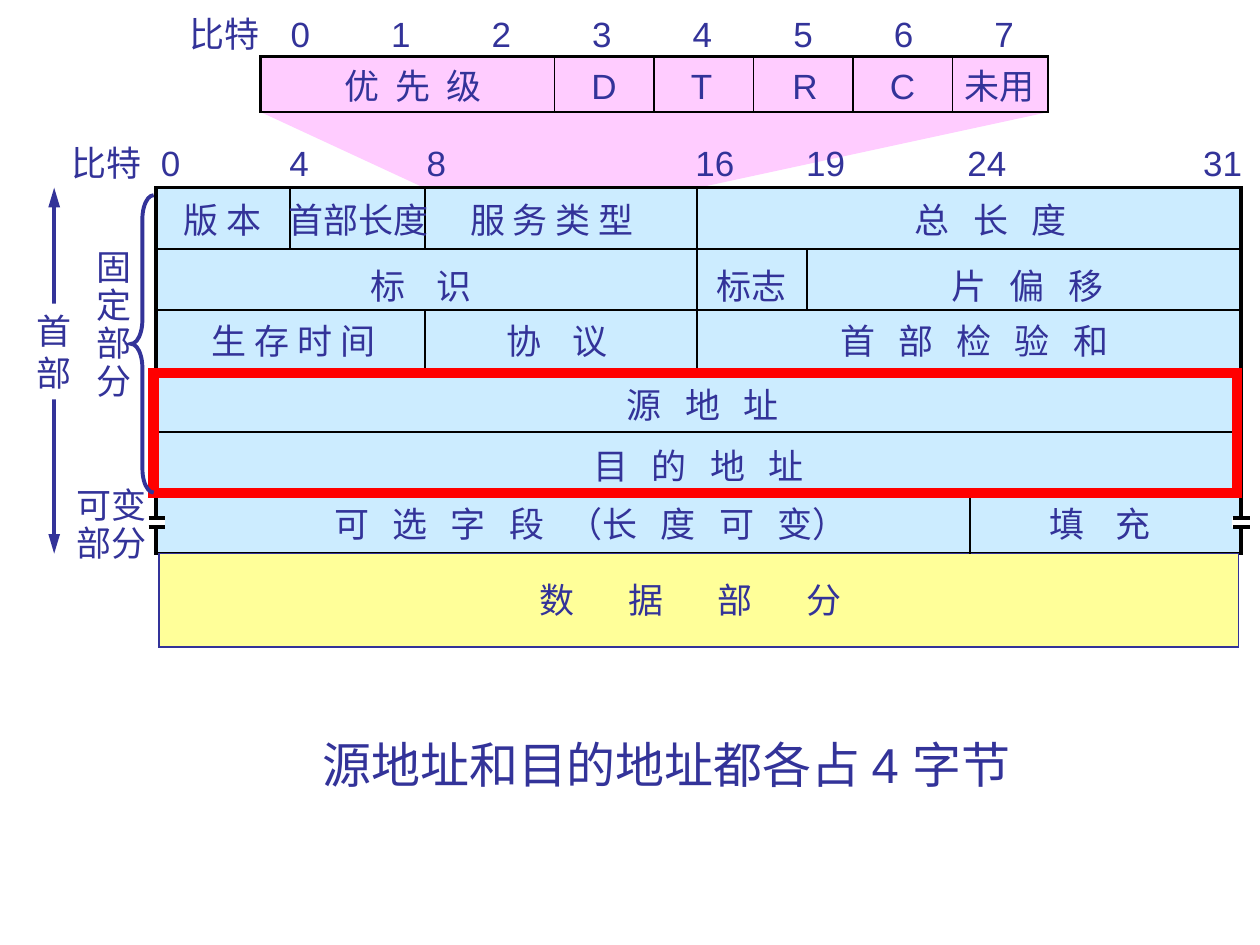
from dataclasses import dataclass
from itertools import groupby

from lxml.etree import SubElement
from pptx import Presentation
from pptx.dml.color import RGBColor
from pptx.enum.shapes import MSO_CONNECTOR, MSO_SHAPE
from pptx.enum.text import MSO_AUTO_SIZE
from pptx.oxml.ns import qn
from pptx.util import Inches, Pt


@dataclass(frozen=True)
class Theme:
    ink: str = "333399"
    rule: str = "000000"
    paper: str = "FFFFFF"
    service: str = "FFCCFF"
    header: str = "CCECFF"
    data: str = "FFFF99"
    highlight: str = "FF0000"
    font: str = "Arial"
    label: int = 20
    conclusion: int = 28


@dataclass(frozen=True)
class Grid:
    """Columns are bits and rows are words of the packet layout."""
    left: float
    top: float
    column: float
    row: float

    def x(self, column):
        return self.left + column * self.column

    def y(self, row):
        return self.top + row * self.row


THEME = Theme()
SERVICE = Grid(2.03, 0.45, 0.79, 0.44)
HEADER = Grid(1.24, 1.49, 0.269, 0.484)
SERVICE_EDGES = (0.05, 7.96)
LABEL_HEIGHT = 0.43
SPACE_EMS = 0.22
SLACK = 0.04

SERVICE_BITS = {bit: 0.45 + 1.01 * bit for bit in range(8)}
HEADER_BITS = {0: 0.43, 4: 4.22, 8: 8.27, 16: 16.49, 19: 19.76, 24: 24.52, 31: 31.47}
SERVICE_FIELDS = [("优 先 级", 1.58, 2), ("D", 3.5, 1), ("T", 4.5, 1),
                  ("R", 5.52, 1), ("C", 6.5, 1), ("未用", 7.47, 1)]
# Each row: text offset from the row top, then (text, centre column, gap in spaces)
HEADER_ROWS = [
    (0.04, [("版 本", 1.95, 1), ("首部长度", 5.97, 1),
            ("服 务 类 型", 11.67, 1), ("总 长 度", 24.62, 3)]),
    (0.08, [("标 识", 7.81, 4), ("标志", 17.58, 1), ("片 偏 移", 25.7, 3)]),
    (0.03, [("生 存 时 间", 4.05, 1), ("协 议", 11.82, 4),
            ("首 部 检 验 和", 24.13, 3)]),
    (0.05, [("源 地 址", 16.12, 3)]),
    (0.05, [("目 的 地 址", 16, 3)]),
    (0.03, [("可 选 字 段 （长 度 可 变）", 12.81, 3), ("填 充", 27.84, 4)]),
]
# Each divider: column, first row, last row
HEADER_DIVIDERS = [(3.94, 0, 1), (7.92, 0, 1), (7.92, 2, 3), (15.95, 0, 3),
                   (19.2, 1, 2), (24, 5, 6)]


def color(code):
    return RGBColor.from_string(code)


def panel(slide, box, fill=None, line=None, weight=1, kind=MSO_SHAPE.RECTANGLE):
    area = slide.shapes.add_shape(kind, *map(Inches, box))
    paint(area, fill, line, weight)
    return area


def paint(area, fill, line=None, weight=1):
    area.shadow.inherit = False
    if fill:
        area.fill.solid()
        area.fill.fore_color.rgb = color(fill)
    else:
        area.fill.background()
    if line:
        area.line.color.rgb = color(line)
        area.line.width = Pt(weight)
        SubElement(area.line._get_or_add_ln(), qn("a:miter"), lim="800000")
    else:
        area.line.fill.background()


def rule(slide, start, end, weight=1, ink=THEME.rule, arrows=False):
    stroke = slide.shapes.add_connector(
        MSO_CONNECTOR.STRAIGHT, *map(Inches, (*start, *end)))
    stroke.line.color.rgb = color(ink)
    stroke.line.width = Pt(weight)
    if arrows:
        for tip in ("a:headEnd", "a:tailEnd"):
            SubElement(stroke.line._get_or_add_ln(), qn(tip),
                       type="triangle", len="lg")
    SubElement(stroke._element.spPr, qn("a:effectLst"))


def text_width(text, gap, size):
    """Width in inches of a line whose spaces are each worth `gap` spaces."""
    def ems(char):
        if char == " ":
            return SPACE_EMS * gap
        if char.isdigit():
            return 0.56
        return 0.72 if char.isascii() else 1
    return sum(map(ems, text)) * size / 72 + 0.2


def add_spaced_runs(paragraph, line, gap, size):
    """Widen only the spaces, so that letters and brackets stay tight."""
    tracking = round((gap - 1) * SPACE_EMS * size * 100)
    for is_space, chars in groupby(line, str.isspace):
        run = paragraph.add_run()
        run.text = "".join(chars)
        if is_space:
            run._r.get_or_add_rPr().set("spc", str(tracking))


def label(slide, text, center, top, gap=1, width=None, height=LABEL_HEIGHT,
          size=THEME.label, leading=None, fill=None):
    lines = text.split("\n")
    width = width or max(text_width(line, gap, size) for line in lines)
    box = slide.shapes.add_textbox(
        *map(Inches, (center - width / 2, top, width + SLACK, height)))
    if fill:
        paint(box, fill)
    frame = box.text_frame
    frame.word_wrap = False
    frame.auto_size = MSO_AUTO_SIZE.SHAPE_TO_FIT_TEXT
    for index, line in enumerate(lines):
        paragraph = frame.add_paragraph() if index else frame.paragraphs[0]
        if gap > 1:
            add_spaced_runs(paragraph, line, gap, size)
        else:
            paragraph.text = line
        paragraph.font.name = THEME.font
        paragraph.font.size = Pt(size)
        paragraph.font.color.rgb = color(THEME.ink)
        if leading:
            paragraph.line_spacing = leading


def bit_scale(slide, grid, bits, top, caption_center):
    label(slide, "比特", caption_center, top)
    for bit, column in bits.items():
        label(slide, str(bit), grid.x(column), top)


def service_zoom(slide, grid, target):
    """Funnel from the service octet up to its enlarged bits."""
    left, right = map(grid.x, SERVICE_EDGES)
    outline = slide.shapes.build_freeform(Inches(left), Inches(grid.y(1)), scale=1.0)
    corners = [(right, grid.y(1)), (target.x(16), target.top),
               (target.x(7.9), target.top)]
    outline.add_line_segments([(Inches(x), Inches(y)) for x, y in corners])
    paint(outline.convert_to_shape(), THEME.service)


def service_band(slide, grid):
    left, right = map(grid.x, SERVICE_EDGES)
    panel(slide, (left, grid.top, right - left, grid.row),
          THEME.service, THEME.rule, 1.5)
    for column in range(3, 8):
        rule(slide, (grid.x(column), grid.top), (grid.x(column), grid.y(1)))
    for text, column, gap in SERVICE_FIELDS:
        label(slide, text, grid.x(column), grid.top + 0.01, gap)
    bit_scale(slide, grid, SERVICE_BITS, 0.05, 1.78)


def header_table(slide, grid):
    rows = len(HEADER_ROWS)
    panel(slide, (grid.left, grid.top, 32 * grid.column, rows * grid.row),
          THEME.header, THEME.rule, 2)
    panel(slide, (grid.left + 0.02, grid.y(rows), 8.57, 0.74), THEME.data, THEME.ink)
    for row in range(1, rows):
        rule(slide, (grid.left, grid.y(row)), (grid.x(32), grid.y(row)))
    for column, first, last in HEADER_DIVIDERS:
        rule(slide, (grid.x(column), grid.y(first)), (grid.x(column), grid.y(last)))
    for row, (offset, fields) in enumerate(HEADER_ROWS):
        for text, column, gap in fields:
            label(slide, text, grid.x(column), grid.y(row) + offset, gap)
    label(slide, "数 据 部 分", 5.48, grid.y(rows) + 0.15, 7)
    bit_scale(slide, grid, HEADER_BITS, 1.07, 0.85)
    for edge in (grid.left, grid.x(32)):
        break_mark(slide, edge, grid.y(5.49))


def break_mark(slide, x, y):
    panel(slide, (x - 0.07, y - 0.04, 0.14, 0.08), THEME.paper)
    for level in (y - 0.035, y + 0.035):
        rule(slide, (x - 0.06, level), (x + 0.07, level), 2)


def side_notes(slide, grid):
    rule(slide, (0.43, grid.y(0)), (0.43, grid.y(6)), 2.25, THEME.ink, arrows=True)
    label(slide, "首\n部", 0.43, 2.41, height=0.76, fill=THEME.paper)
    label(slide, "固\n定\n部\n分", 0.91, 1.94, height=1.3, leading=0.9)
    label(slide, "可变\n部分", 0.89, 3.83, height=0.7, leading=0.9)


def address_highlight(slide, grid):
    label(slide, "源地址和目的地址都各占 4 字节", 5.38, 5.78,
          width=5.84, height=0.57, size=THEME.conclusion)
    panel(slide, (grid.left - 0.02, grid.y(3) + 0.02, 8.6, 0.95),
          line=THEME.highlight, weight=6)


def fixed_part_brace(slide, grid):
    brace = panel(slide, (1.04, grid.top + 0.06, 0.18, 2.36), line=THEME.ink,
                  weight=2.25, kind=MSO_SHAPE.LEFT_BRACE)
    brace.adjustments[0] = 1.05


def main():
    deck = Presentation()
    deck.slide_width, deck.slide_height = Inches(10), Inches(7.5)
    slide = deck.slides.add_slide(deck.slide_layouts[6])
    side_notes(slide, HEADER)
    service_zoom(slide, SERVICE, HEADER)
    header_table(slide, HEADER)
    service_band(slide, SERVICE)
    address_highlight(slide, HEADER)
    fixed_part_brace(slide, HEADER)
    deck.save("out.pptx")


if __name__ == "__main__":
    main()
